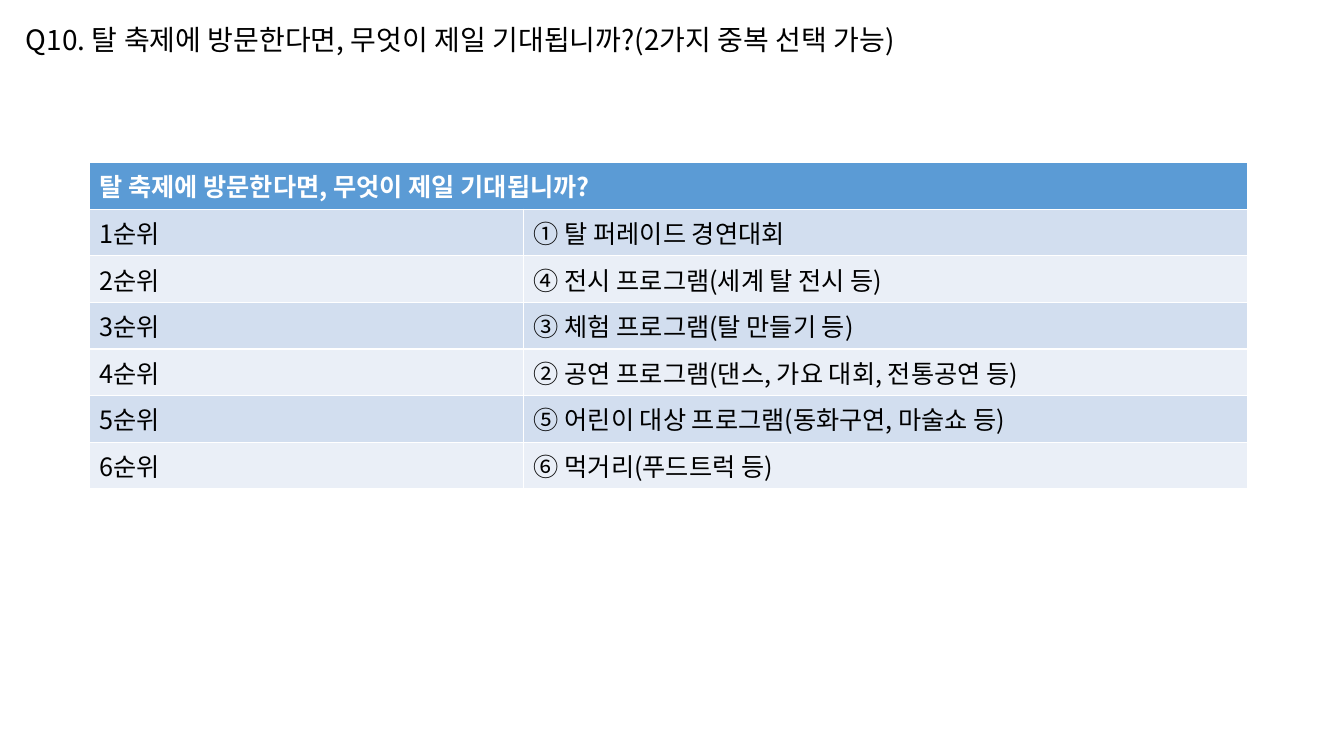
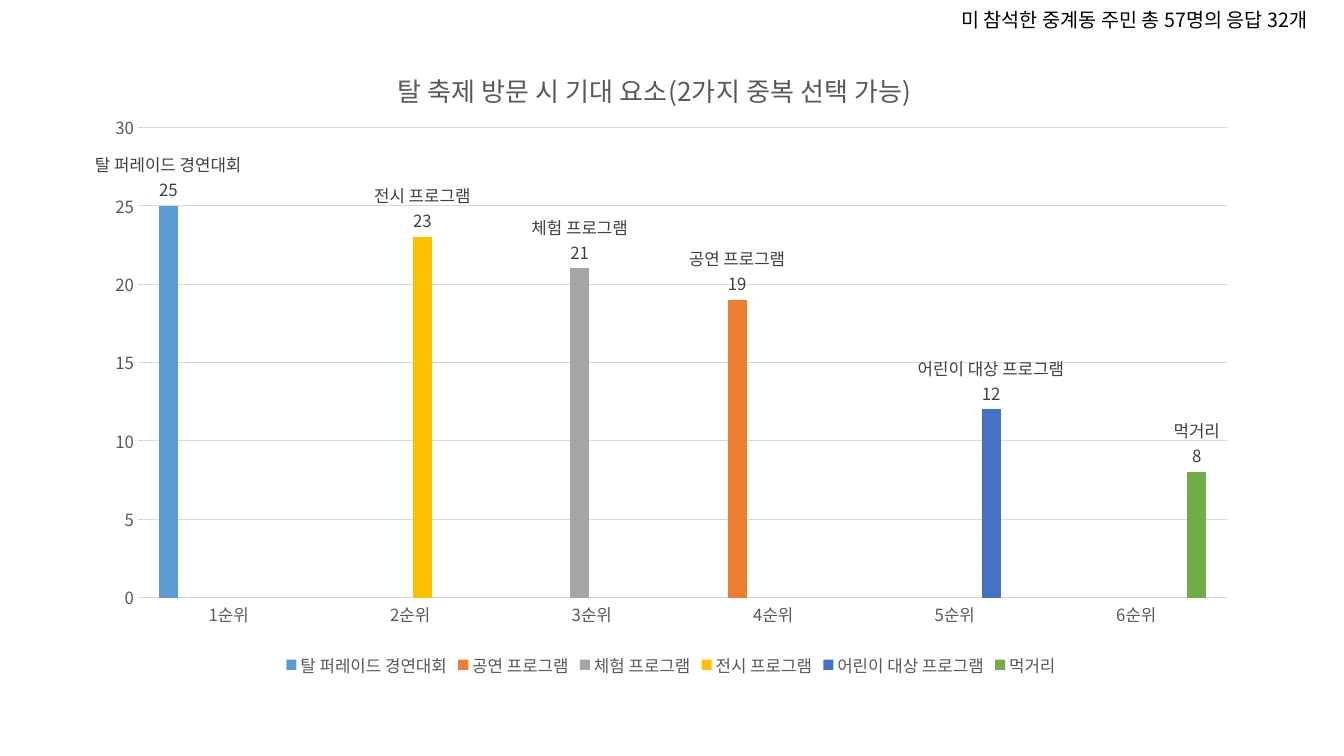
from lxml.etree import SubElement
from pptx import Presentation
from pptx.chart.data import CategoryChartData
from pptx.dml.color import RGBColor
from pptx.enum.chart import XL_CHART_TYPE as ChartType
from pptx.enum.chart import XL_LABEL_POSITION as LabelPosition
from pptx.enum.chart import XL_LEGEND_POSITION as LegendPosition
from pptx.enum.chart import XL_TICK_MARK as TickMark
from pptx.enum.text import MSO_ANCHOR as Anchor
from pptx.enum.text import PP_ALIGN as Align
from pptx.oxml.ns import qn
from pptx.util import Cm, Pt

RANKS = [f"{rank}순위" for rank in range(1, 7)]
PROGRAMS = [
    "① 탈 퍼레이드 경연대회",
    "④ 전시 프로그램(세계 탈 전시 등)",
    "③ 체험 프로그램(탈 만들기 등)",
    "② 공연 프로그램(댄스, 가요 대회, 전통공연 등)",
    "⑤ 어린이 대상 프로그램(동화구연, 마술쇼 등)",
    "⑥ 먹거리(푸드트럭 등)",
]
VOTES = [
    ("탈 퍼레이드 경연대회", 1, 25, "5B9BD5"),
    ("공연 프로그램", 4, 19, "ED7D31"),
    ("체험 프로그램", 3, 21, "A5A5A5"),
    ("전시 프로그램", 2, 23, "FFC000"),
    ("어린이 대상 프로그램", 5, 12, "4472C4"),
    ("먹거리", 6, 8, "70AD47"),
]


def color(value):
    """Return the colour of a hex string."""
    return RGBColor.from_string(value)


def set_layout(parent, index, **fractions):
    """Place a chart part by fractions of the chart's size."""
    for layout in parent.findall(qn("c:layout")):
        parent.remove(layout)
    layout = SubElement(parent, qn("c:layout"))
    parent.insert(index, layout)
    manual = SubElement(layout, qn("c:manualLayout"))
    if "w" in fractions:
        SubElement(manual, qn("c:layoutTarget")).set("val", "inner")
    for mode in ("xMode", "yMode"):
        SubElement(manual, qn(f"c:{mode}")).set("val", "edge")
    for name, fraction in fractions.items():
        SubElement(manual, qn(f"c:{name}")).set("val", str(fraction))


class Deck:
    """Survey slides in one shared style."""

    FONT = "Noto Sans CJK KR"
    TEXT, WHITE, HEADER = "000000", "FFFFFF", "5B9BD5"
    BANDS = ("D2DEEF", "EAEFF7")
    CHART_TEXT, LABEL_TEXT, GRID = "595959", "404040", "D9D9D9"

    def __init__(self):
        """Start an empty widescreen presentation."""
        self.presentation = Presentation()
        self.presentation.slide_width = Cm(33.87)
        self.presentation.slide_height = Cm(19.05)
        self.slide = None

    def add_slide(self, layout_name):
        """Add a slide and make it the current one."""
        layout = self.presentation.slide_layouts.get_by_name(layout_name)
        self.slide = self.presentation.slides.add_slide(layout)

    def style(self, font, size, text_color, bold=False):
        """Apply the shared typeface with a size and colour."""
        font.name = self.FONT
        font.size = Pt(size)
        font.bold = bold
        font.color.rgb = color(text_color)

    def use_east_asian_font(self, element):
        """Give Korean characters the same typeface as Latin ones."""
        for latin in list(element.iter(qn("a:latin"))):
            east_asian = SubElement(latin.getparent(), qn("a:ea"))
            east_asian.set("typeface", self.FONT)
            latin.addnext(east_asian)

    def set_text(self, frame, text, size, text_color, bold=False):
        """Fill a frame with one left-aligned paragraph."""
        paragraph = frame.paragraphs[0]
        paragraph.text = text
        paragraph.alignment = Align.LEFT
        self.style(paragraph.font, size, text_color, bold)

    def title(self, text):
        """Fill the title placeholder."""
        shape = self.slide.shapes.title
        shape.left, shape.top = Cm(0.4), Cm(0.43)
        shape.width, shape.height = Cm(24.8), Cm(1.12)
        shape.text_frame.vertical_anchor = Anchor.TOP
        self.set_text(shape.text_frame, text, 20, self.TEXT)
        self.use_east_asian_font(shape.element)

    def corner_note(self, text):
        """Add a note in the top right corner."""
        shape = self.slide.shapes.add_textbox(Cm(24.23), Cm(0.08), Cm(9.64), Cm(0.86))
        frame = shape.text_frame
        frame.word_wrap = True
        frame.margin_left = frame.margin_right = 0
        self.set_text(frame, text, 14, self.TEXT)
        self.use_east_asian_font(shape.element)

    def ranking_table(self, heading, rows):
        """Add a banded table under one merged heading."""
        row_height = 1.17
        count = len(rows) + 1
        shape = self.slide.shapes.add_table(
            count, 2, Cm(2.25), Cm(4.1), Cm(29.2), Cm(row_height * count))
        table = shape.table
        table.columns[0].width, table.columns[1].width = Cm(10.95), Cm(18.25)
        table.cell(0, 0).merge(table.cell(0, 1))
        self.fill_cell(table.cell(0, 0), heading, self.HEADER, self.WHITE, True)
        for row, texts in enumerate(rows, 1):
            band = self.BANDS[(row - 1) % 2]
            for column, text in enumerate(texts):
                self.fill_cell(table.cell(row, column), text, band, self.TEXT)
        self.use_east_asian_font(shape.element)

    def fill_cell(self, cell, text, fill, text_color, bold=False):
        """Set the fill and text of a table cell."""
        cell.fill.solid()
        cell.fill.fore_color.rgb = color(fill)
        self.set_text(cell.text_frame, text, 18, text_color, bold)

    def vote_chart(self, title, categories, votes):
        """Add a column chart with one series per program."""
        data = CategoryChartData()
        data.categories = categories
        for name, rank, value, _ in votes:
            data.add_series(name, [value if place == rank else None
                                   for place in range(1, len(categories) + 1)])
        chart = self.slide.shapes.add_chart(
            ChartType.COLUMN_CLUSTERED, Cm(2.31), Cm(0.94), Cm(29.2), Cm(16.23), data).chart
        self.style(chart.font, 12, self.CHART_TEXT)
        chart.has_title = True
        paragraph = chart.chart_title.text_frame.paragraphs[0]
        paragraph.text = title
        self.style(paragraph.font, 18.6, self.CHART_TEXT)
        set_layout(chart.element.find(".//" + qn("c:title")), 1, x=0.26, y=0.04)
        set_layout(chart.element.find(".//" + qn("c:plotArea")), 0,
                   x=0.04, y=0.14, w=0.94, h=0.73)
        chart.has_legend = True
        chart.legend.position = LegendPosition.BOTTOM
        chart.legend.include_in_layout = False
        self.style(chart.legend.font, 12, self.CHART_TEXT)
        self.format_axes(chart)
        plot = chart.plots[0]
        plot.gap_width, plot.overlap, plot.vary_by_categories = 219, -27, False
        for series, vote in zip(plot.series, votes):
            self.format_series(series, vote[-1])
        self.use_east_asian_font(chart.element)

    def format_axes(self, chart):
        """Show pale lines and no tick marks."""
        for axis in (chart.category_axis, chart.value_axis):
            axis.major_tick_mark = axis.minor_tick_mark = TickMark.NONE
            self.style(axis.tick_labels.font, 12, self.CHART_TEXT)
        values = chart.value_axis
        values.minimum_scale, values.maximum_scale, values.major_unit = 0, 30, 5
        values.format.line.fill.background()
        for line in (chart.category_axis.format.line, values.major_gridlines.format.line):
            line.color.rgb = color(self.GRID)
            line.width = Pt(0.75)

    def format_series(self, series, fill):
        """Colour a series and label it with its name over its value."""
        series.format.fill.solid()
        series.format.fill.fore_color.rgb = color(fill)
        labels = series.data_labels
        self.style(labels.font, 12, self.LABEL_TEXT)
        labels.position = LabelPosition.OUTSIDE_END
        labels.show_value = labels.show_series_name = True
        bubble_size = series._element.find(".//" + qn("c:showBubbleSize"))
        separator = SubElement(bubble_size.getparent(), qn("c:separator"))
        separator.text = "\n"
        bubble_size.addnext(separator)

    def save(self):
        """Save the presentation."""
        self.presentation.save("out.pptx")


def main():
    """Build both survey slides."""
    deck = Deck()
    question = "탈 축제에 방문한다면, 무엇이 제일 기대됩니까?"
    deck.add_slide("Title Only")
    deck.title(f"Q10. {question}(2가지 중복 선택 가능)")
    deck.ranking_table(question, list(zip(RANKS, PROGRAMS)))
    deck.add_slide("Blank")
    deck.vote_chart("탈 축제 방문 시 기대 요소(2가지 중복 선택 가능)", RANKS, VOTES)
    deck.corner_note("미 참석한 중계동 주민 총 57명의 응답 32개")
    deck.save()


if __name__ == "__main__":
    main()
